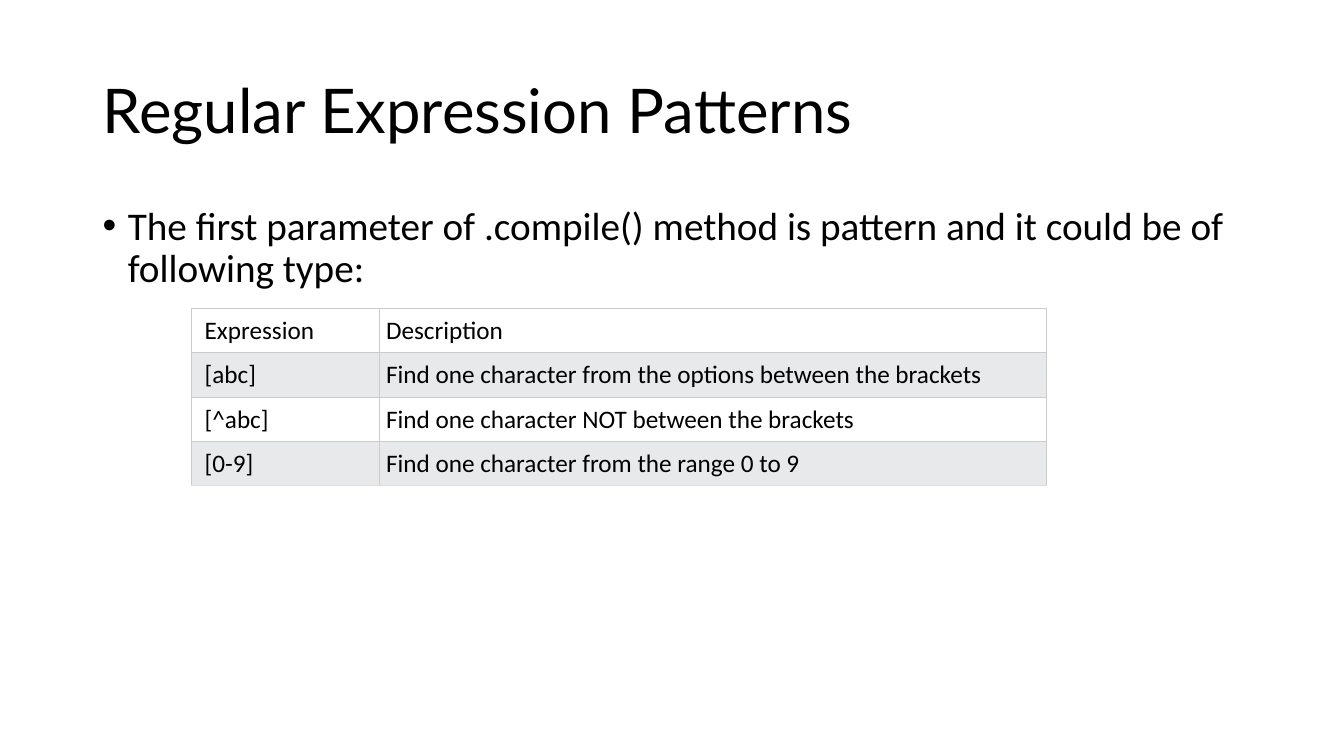
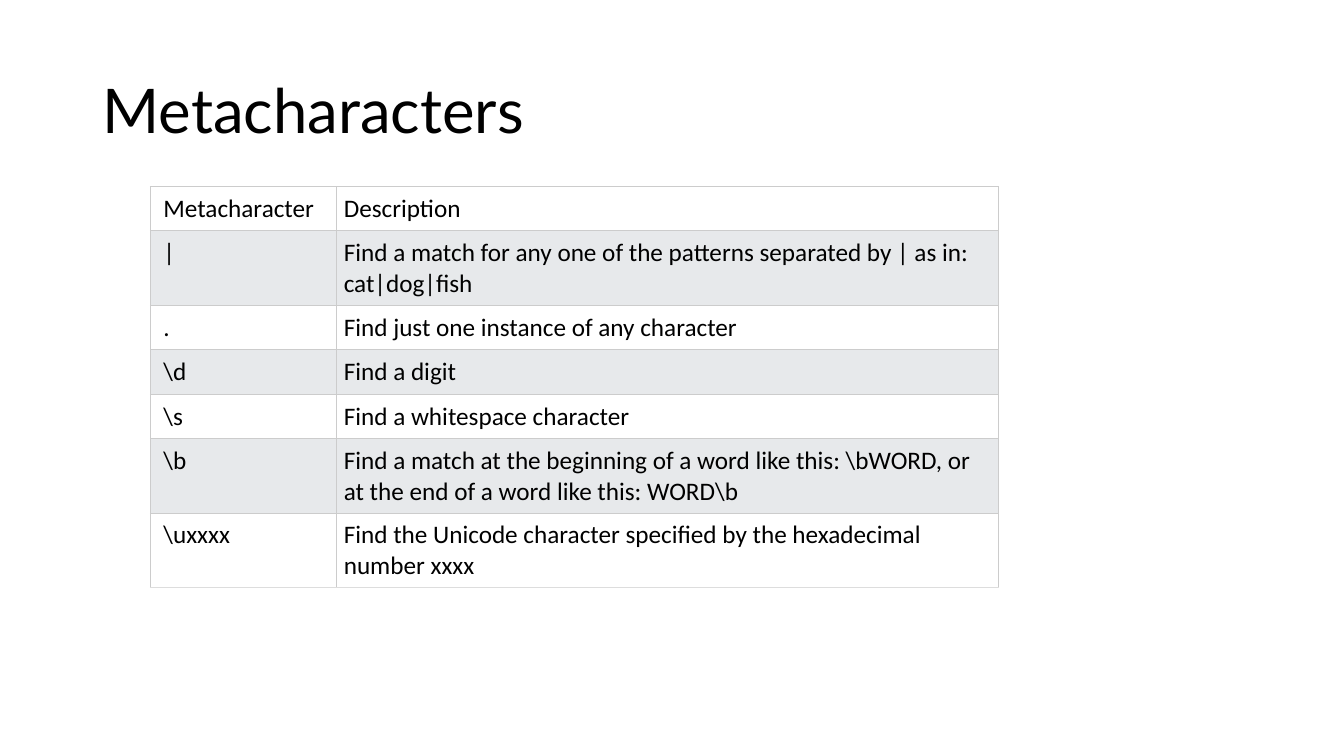
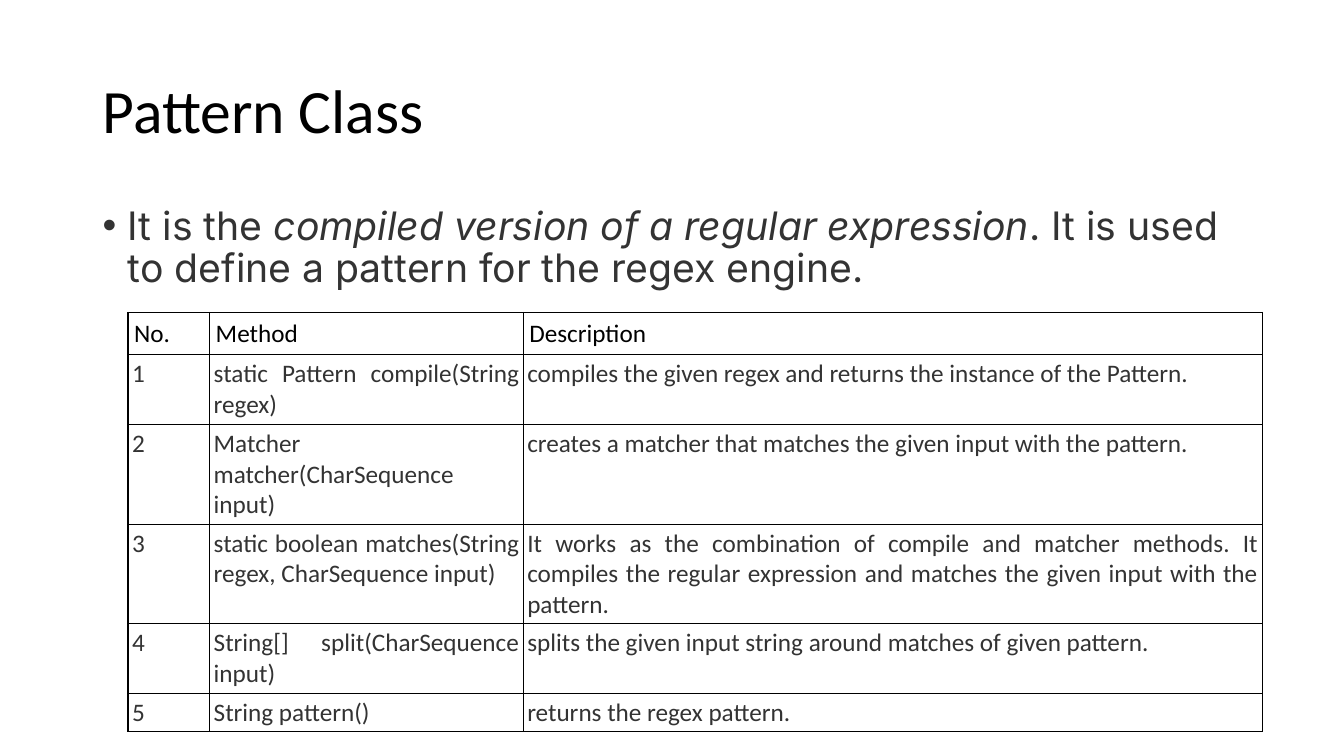
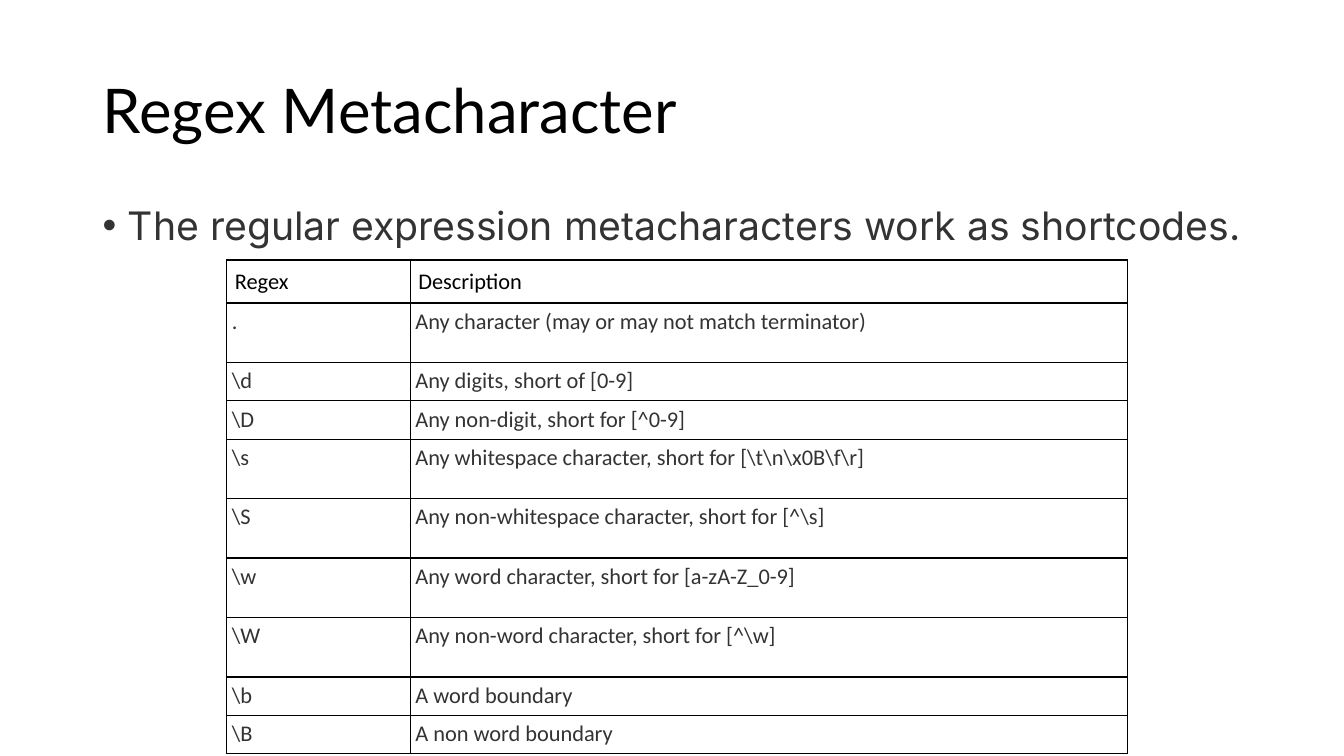
"""Build four slides on regular expressions, each with a title, an optional bullet and a table."""
from lxml import etree
from pptx import Presentation
from pptx.dml.color import RGBColor
from pptx.enum.text import MSO_ANCHOR, PP_ALIGN
from pptx.oxml.ns import qn
from pptx.util import Pt

PX = 9144
MIDDLE = MSO_ANCHOR.MIDDLE
LEFT, JUSTIFY = PP_ALIGN.LEFT, PP_ALIGN.JUSTIFY


class Theme:
    black, dark, white, band = "000000", "333333", "FFFFFF", "E7E9EB"
    grid, grid_end = "CCCCCC", "DDDDDD"
    title_pt, body_pt = 44, 28
    title_box = (92, 40, 1150, 145)
    body_box = (92, 200, 1150, 476)
    indent = 25


BANDED = dict(fills=(Theme.white, Theme.band), line=Theme.grid, last_line=Theme.grid_end,
              line_pt=0.6, text=Theme.black, align=LEFT, size=18,
              head_pad=(13, 7), pad=(13, 7), pad_y=7)
BOXED = dict(fills=None, line=Theme.black, last_line=Theme.black,
             line_pt=1, text=Theme.dark, align=JUSTIFY)

SLIDES = [
    dict(title="Regular Expression Patterns", title_font="Lato",
         body_font="Calibri", body_color=Theme.black,
         body=[("The first parameter of .compile() method is pattern and it could be "
                "of following type:", False)],
         style=BANDED, at=(190, 306), cols=(186, 662), rows=(44,) * 4,
         cells=[("Expression", "Description"),
                ("[abc]", "Find one character from the options between the brackets"),
                ("[^abc]", "Find one character NOT between the brackets"),
                ("[0-9]", "Find one character from the range 0 to 9")]),
    dict(title="Metacharacters", title_font="Lato", body=[],
         style=BANDED, at=(149, 185), cols=(185, 656), rows=(44, 74, 44, 44, 44, 74, 74),
         cells=[("Metacharacter", "Description"),
                ("|", "Find a match for any one of the patterns separated by | as in: "
                      "cat|dog|fish"),
                (".", "Find just one instance of any character"),
                (r"\d", "Find a digit"),
                (r"\s", "Find a whitespace character"),
                (r"\b", r"Find a match at the beginning of a word like this: \bWORD, or "
                        r"at the end of a word like this: WORD\b"),
                (r"\uxxxx", "Find the Unicode character specified by the hexadecimal "
                            "number xxxx")]),
    dict(title="Pattern Class", title_font="Calibri",
         body_font="Inter", body_color=Theme.dark,
         body=[("It is the ", False),
               ("compiled version of a regular expression", True),
               (". It is used to define a pattern for the regex engine.", False)],
         style=dict(BOXED, size=18, head_pad=(6, 6, 6), pad=(4, 4, 4), pad_y=4),
         at=(127, 310), cols=(81, 311, 733), rows=(42, 69, 99, 99, 69, 38),
         cells=[("No.", "Method", "Description"),
                ("1", "static Pattern compile(String regex)",
                 "compiles the given regex and returns the instance of the Pattern."),
                ("2", "Matcher matcher(CharSequence input)",
                 "creates a matcher that matches the given input with the pattern."),
                ("3", "static boolean matches(String regex, CharSequence input)",
                 "It works as the combination of compile and matcher methods. It compiles "
                 "the regular expression and matches the given input with the pattern."),
                ("4", "String[] split(CharSequence input)",
                 "splits the given input string around matches of given pattern."),
                ("5", "String pattern()", "returns the regex pattern.")]),
    dict(title="Regex Metacharacter", title_font="Lato",
         body_font="Inter", body_color=Theme.dark,
         body=[("The regular expression metacharacters work as shortcodes.", False)],
         style=dict(BOXED, size=16, head_pad=(8, 8), pad=(5, 5), pad_y=5),
         at=(225, 258), cols=(182, 711), rows=(42, 59, 38, 38, 59, 59, 59, 59, 38, 38),
         cells=[("Regex", "Description"),
                (".", "Any character (may or may not match terminator)"),
                (r"\d", "Any digits, short of [0-9]"),
                (r"\D", "Any non-digit, short for [^0-9]"),
                (r"\s", r"Any whitespace character, short for [\t\n\x0B\f\r]"),
                (r"\S", r"Any non-whitespace character, short for [^\s]"),
                (r"\w", "Any word character, short for [a-zA-Z_0-9]"),
                (r"\W", r"Any non-word character, short for [^\w]"),
                (r"\b", "A word boundary"),
                (r"\B", "A non word boundary")]),
]


def add_run(p, text, font, size, color, italic=False):
    r = p.add_run()
    r.text = text
    r.font.name, r.font.size, r.font.italic = font, Pt(size), italic
    r.font.color.rgb = RGBColor.from_string(color)


def add_box(slide, box):
    tf = slide.shapes.add_textbox(*(v * PX for v in box)).text_frame
    tf.word_wrap = True
    p = tf.paragraphs[0]
    p.line_spacing = 0.9
    return tf, p


prs = Presentation()
prs.slide_width, prs.slide_height = 1333 * PX, 750 * PX

for s in SLIDES:
    slide = prs.slides.add_slide(prs.slide_layouts[6])

    tf, p = add_box(slide, Theme.title_box)
    tf.vertical_anchor = MIDDLE
    add_run(p, s["title"], s["title_font"], Theme.title_pt, Theme.black)

    if s["body"]:
        tf, p = add_box(slide, Theme.body_box)
        p.space_before = Pt(10)
        pPr = p._p.get_or_add_pPr()
        pPr.set("marL", str(Theme.indent * PX))
        pPr.set("indent", str(-Theme.indent * PX))
        etree.SubElement(pPr, qn("a:buFont"), typeface="Arial")
        etree.SubElement(pPr, qn("a:buChar"), char="•")
        for text, italic in s["body"]:
            add_run(p, text, s["body_font"], Theme.body_pt, s["body_color"], italic)

    style, cols, rows = s["style"], s["cols"], s["rows"]
    frame = (*s["at"], sum(cols), sum(rows))
    table = slide.shapes.add_table(len(rows), len(cols), *(v * PX for v in frame)).table
    table.first_row = table.horz_banding = False
    for col, width in zip(table.columns, cols):
        col.width = width * PX
    for i, (row, height) in enumerate(zip(table.rows, rows)):
        row.height = height * PX
        head, last = i == 0, i == len(rows) - 1
        pads = style["head_pad"] if head else style["pad"]
        pad_y = pads[-1] if head else style["pad_y"]
        for cell, text, pad in zip(row.cells, s["cells"][i], pads):
            cell.margin_left, cell.margin_right = pad * PX, pads[-1] * PX
            cell.margin_top = cell.margin_bottom = pad_y * PX
            if style["fills"]:
                cell.fill.solid()
                cell.fill.fore_color.rgb = RGBColor.from_string(style["fills"][i % 2])
            else:
                cell.fill.background()
            p = cell.text_frame.paragraphs[0]
            p.alignment = LEFT if head else style["align"]
            add_run(p, text, "Calibri", style["size"], Theme.black if head else style["text"])
            tcPr = cell._tc.get_or_add_tcPr()
            for k, side in enumerate("LRTB"):
                ln = etree.Element(qn("a:ln" + side), w=str(Pt(style["line_pt"])))
                fill = etree.SubElement(ln, qn("a:solidFill"))
                color = style["last_line"] if last and side == "B" else style["line"]
                etree.SubElement(fill, qn("a:srgbClr"), val=color)
                tcPr.insert(k, ln)

prs.save("out.pptx")
